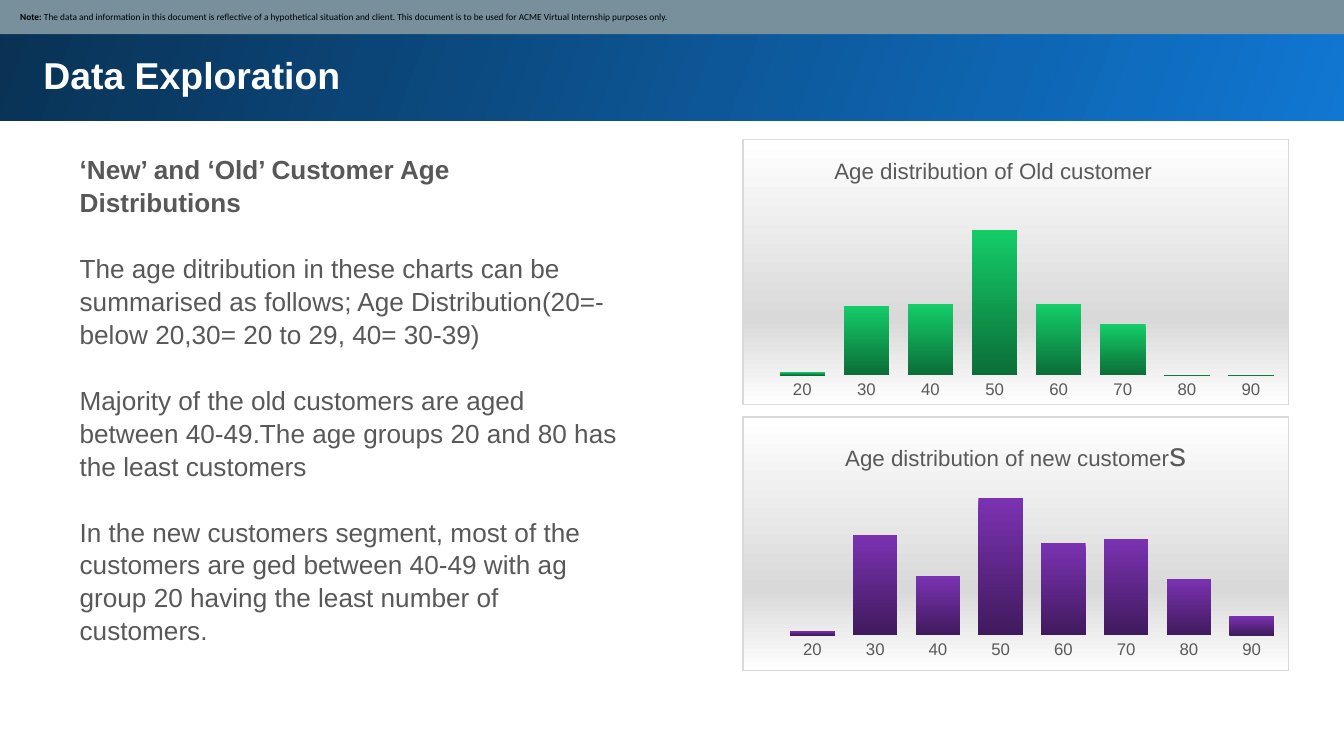
import pptx
import pptx.chart.data
import pptx.dml.color
import pptx.enum.chart
import pptx.enum.shapes
import pptx.enum.text
import pptx.oxml
import pptx.oxml.ns
import pptx.util

RGB = pptx.dml.color.RGBColor
WHITE = RGB(0xFF, 0xFF, 0xFF)
BLACK = RGB(0, 0, 0)
TEXT = RGB(0x58, 0x58, 0x58)
LABEL = RGB(0x59, 0x59, 0x59)
SILVER = RGB(0xD9, 0xD9, 0xD9)
SLATE = RGB(0x78, 0x90, 0x9C)
BLUE, NAVY = RGB(0x10, 0x77, 0xD2), RGB(0x09, 0x31, 0x53)
GREEN, FOREST = RGB(0x14, 0xCD, 0x68), RGB(0x0B, 0x6E, 0x38)
PURPLE, PLUM = RGB(0x7B, 0x32, 0xB2), RGB(0x40, 0x1A, 0x5D)

WIDE = 10
HIGH = WIDE * 9 / 16
CELL = 0.1  # side of a grid cell in inches
AGES = ["20", "30", "40", "50", "60", "70", "80", "90"]
QN = pptx.oxml.ns.qn
SPACES = pptx.oxml.ns.nsdecls("a", "c")


def put(item, form):
    for name, value in form.items():
        setattr(item, name, value)


def font(item, color, **form):
    put(item, form)
    item.color.rgb = color


def blend(props, stops, angle):
    """Fill a shape-properties element with (percent, colour) stops, clockwise angle."""
    marks = "".join(
        f'<a:gs pos="{pos * 1000}"><a:srgbClr val="{color}"/></a:gs>'
        for pos, color in stops)
    grad = pptx.oxml.parse_xml(
        f'<a:gradFill {SPACES} rotWithShape="1"><a:gsLst>{marks}</a:gsLst>'
        f'<a:lin ang="{angle * 60000}" scaled="0"/></a:gradFill>')
    shape = props.find(QN("a:prstGeom"))
    if shape is None:
        props.insert(0, grad)
    else:
        shape.addnext(grad)


def place(parent, index, **sides):
    """Give a chart part a manual layout in shares of the chart."""
    old = parent.find(QN("c:layout"))
    if old is not None:
        parent.remove(old)
    inner = '<c:layoutTarget val="inner"/>' if "w" in sides else ""
    modes = "".join(f'<c:{side}Mode val="edge"/>' for side in "xy")
    sizes = "".join(f'<c:{side} val="{value}"/>' for side, value in sides.items())
    parent.insert(index, pptx.oxml.parse_xml(
        f"<c:layout {SPACES}><c:manualLayout>{inner}{modes}{sizes}"
        "</c:manualLayout></c:layout>"))


class Deck:
    """Holds the style and the current slide; boxes are in grid cells."""

    face = "Arial"

    def __init__(self):
        self.show = pptx.Presentation()
        self.show.slide_width = pptx.util.Inches(WIDE)
        self.show.slide_height = pptx.util.Inches(HIGH)
        self.slide = self.show.slides.add_slide(self.show.slide_layouts[6])

    def grid(self, box):
        return [pptx.util.Inches(part * CELL) for part in box]

    def frame(self, shape, inset, **form):
        """Set the four margins and other format values of a text frame."""
        sides = ("left", "right", "top", "bottom")
        margins = {f"margin_{side}": pptx.util.Inches(inset) for side in sides}
        put(shape.text_frame, {"word_wrap": True, **margins, **form})
        return shape.text_frame

    def band(self, box):
        shape = self.slide.shapes.add_shape(
            pptx.enum.shapes.MSO_SHAPE.RECTANGLE, *self.grid(box))
        shape.shadow.inherit = False
        shape.line.fill.background()
        return shape

    def text(self, box, lines, size, color, **form):
        """Write lines as paragraphs, the first of them bold."""
        frame = self.frame(self.slide.shapes.add_textbox(*self.grid(box)), 0.1)
        for rank, line in enumerate(lines):
            para = frame.add_paragraph() if rank else frame.paragraphs[0]
            para.text = line
            put(para, form)
            if rank:
                para.space_before = pptx.util.Pt(17.7)
            font(para.font, color, name=self.face, size=pptx.util.Pt(size),
                 bold=rank == 0)
        return frame

    def chart(self, box, title, spot, area, values, top, colors):
        """Draw columns; title holds (text, size) runs, spot and area are layouts."""
        data = pptx.chart.data.CategoryChartData()
        data.categories = AGES
        data.add_series("Series 1", values)
        chart = self.slide.shapes.add_chart(
            pptx.enum.chart.XL_CHART_TYPE.COLUMN_CLUSTERED,
            *self.grid(box), data).chart
        chart.has_legend = False
        font(chart.font, BLACK, name=self.face, size=pptx.util.Pt(10))

        para = chart.chart_title.text_frame.paragraphs[0]
        for words, size in title:
            run = para.add_run()
            run.text = words
            font(run.font, LABEL, name=self.face, size=pptx.util.Pt(size), bold=False)

        none = pptx.enum.chart.XL_TICK_MARK.NONE
        axis = chart.category_axis
        put(axis, {"major_tick_mark": none, "minor_tick_mark": none,
                   "has_major_gridlines": False})
        axis.format.line.fill.background()
        font(axis.tick_labels.font, LABEL, name=self.face, size=pptx.util.Pt(9))
        put(chart.value_axis, {"visible": False, "has_major_gridlines": False,
                               "minimum_scale": 0, "maximum_scale": top})

        plot = chart.plots[0]
        put(plot, {"gap_width": 41, "vary_by_categories": False})
        bars = plot.series[0].format
        bars.fill.gradient()
        bars.fill.gradient_angle = 270
        for stop, color, share in zip(bars.fill.gradient_stops, colors, (0, 1)):
            stop.color.rgb = color
            stop.position = share

        root = chart.element.find(QN("c:chart"))
        place(root.find(QN("c:title")), 1, **spot)
        place(root.find(QN("c:plotArea")), 0, **area)
        props = pptx.oxml.parse_xml(
            f'<c:spPr {SPACES}><a:ln w="9525"><a:solidFill>'
            f'<a:srgbClr val="{SILVER}"/></a:solidFill></a:ln></c:spPr>')
        blend(props, [(0, WHITE), (68, SILVER), (100, WHITE)], 90)
        root.addnext(props)


def main():
    deck = Deck()
    deck.text((3.43, 10.32, 43.7, 39.6), [
        "‘New’ and ‘Old’ Customer Age\vDistributions",
        "The age ditribution in these charts can be summarised as follows; "
        "Age Distribution(20=-below 20,30= 20 to 29, 40= 30-39)",
        "Majority of the old customers are aged between 40-49."
        "The age groups 20 and 80 has the least customers",
        "In the new customers segment, most of the customers are ged between "
        "40-49 with ag group 20 having the least number of customers.",
    ], 14, TEXT, line_spacing=1.05).margin_left = pptx.util.Inches(0.25)

    head = deck.band((-0.2, -0.2, 100.5, 9.2))
    blend(head.element.spPr, [(0, BLUE), (100, NAVY)], 200)
    deck.text((2.25, 2.9, 93.7, 5.3), ["Data Exploration"], 20, WHITE)

    strip = deck.band((-0.1, -0.1, 100.3, 2.64))
    strip.fill.solid()
    strip.fill.fore_color.rgb = SLATE
    note = deck.frame(strip, 0.05, margin_left=pptx.util.Inches(0.16),
                      vertical_anchor=pptx.enum.text.MSO_ANCHOR.MIDDLE).paragraphs[0]
    note.alignment = pptx.enum.text.PP_ALIGN.LEFT
    for words, bold in (
            ("Note: ", True),
            ("The data and information in this document is reflective of a "
             "hypothetical situation and client. This document is to be used for "
             "ACME Virtual Internship purposes only.", False)):
        run = note.add_run()
        run.text = words
        font(run.font, BLACK, name="Calibri", size=pptx.util.Pt(5), bold=bold)

    deck.chart((55.23, 10.35, 40.7, 19.8), [("Age distribution of Old customer", 12)],
               {"x": 0.16, "y": 0.05}, {"x": 0.05, "y": 0.2, "w": 0.94, "h": 0.69},
               (2, 48, 49, 100, 49, 35, 0, 0), 126, (GREEN, FOREST))
    deck.chart((55.23, 30.97, 40.7, 19), [("Age distribution of new customer", 12), ("s", 18)],
               {"x": 0.18, "y": 0.05}, {"x": 0.07, "y": 0.24, "w": 0.92, "h": 0.62},
               (3, 73, 43, 100, 67, 70, 41, 14), 115, (PURPLE, PLUM))
    deck.show.save("out.pptx")


if __name__ == "__main__":
    main()
